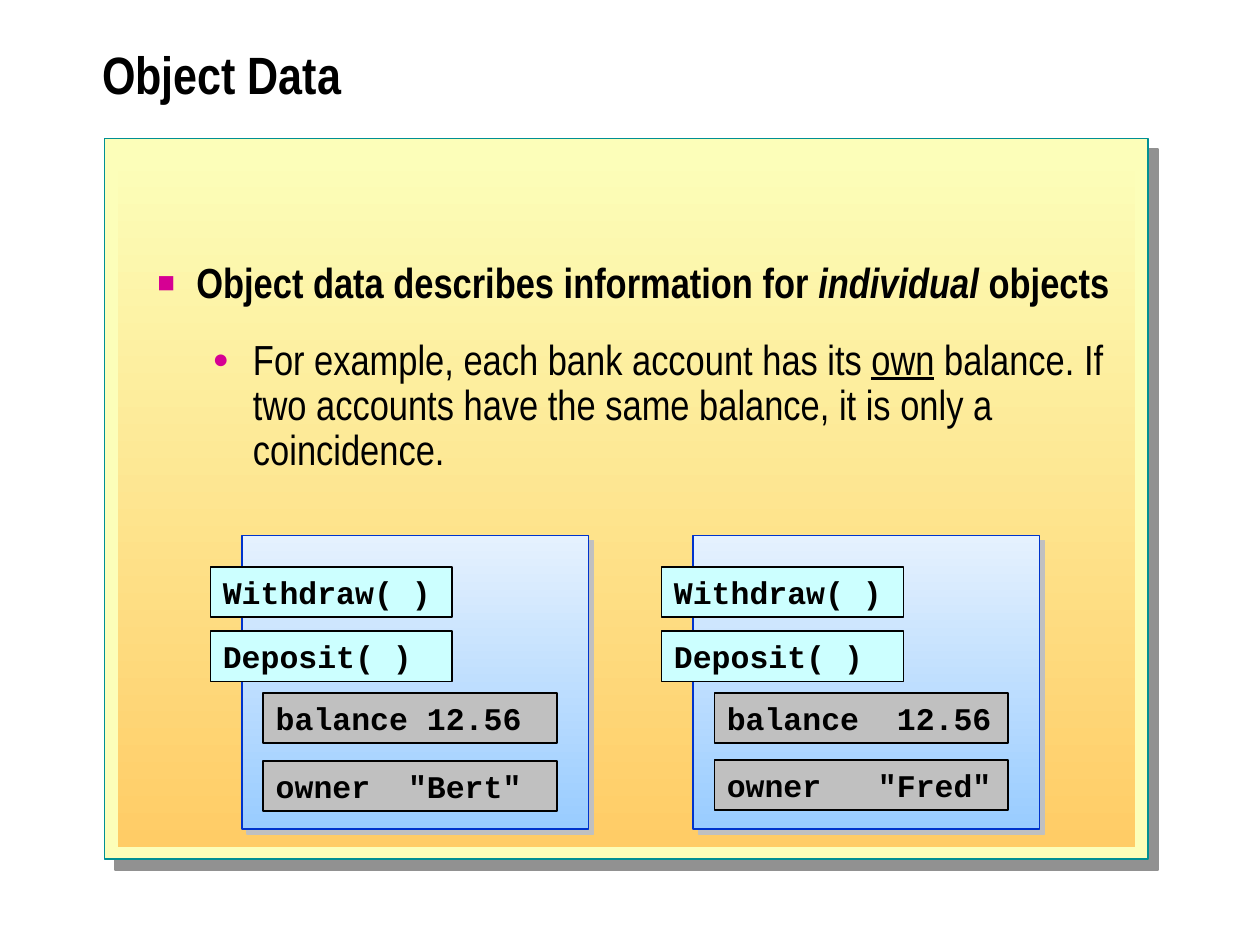
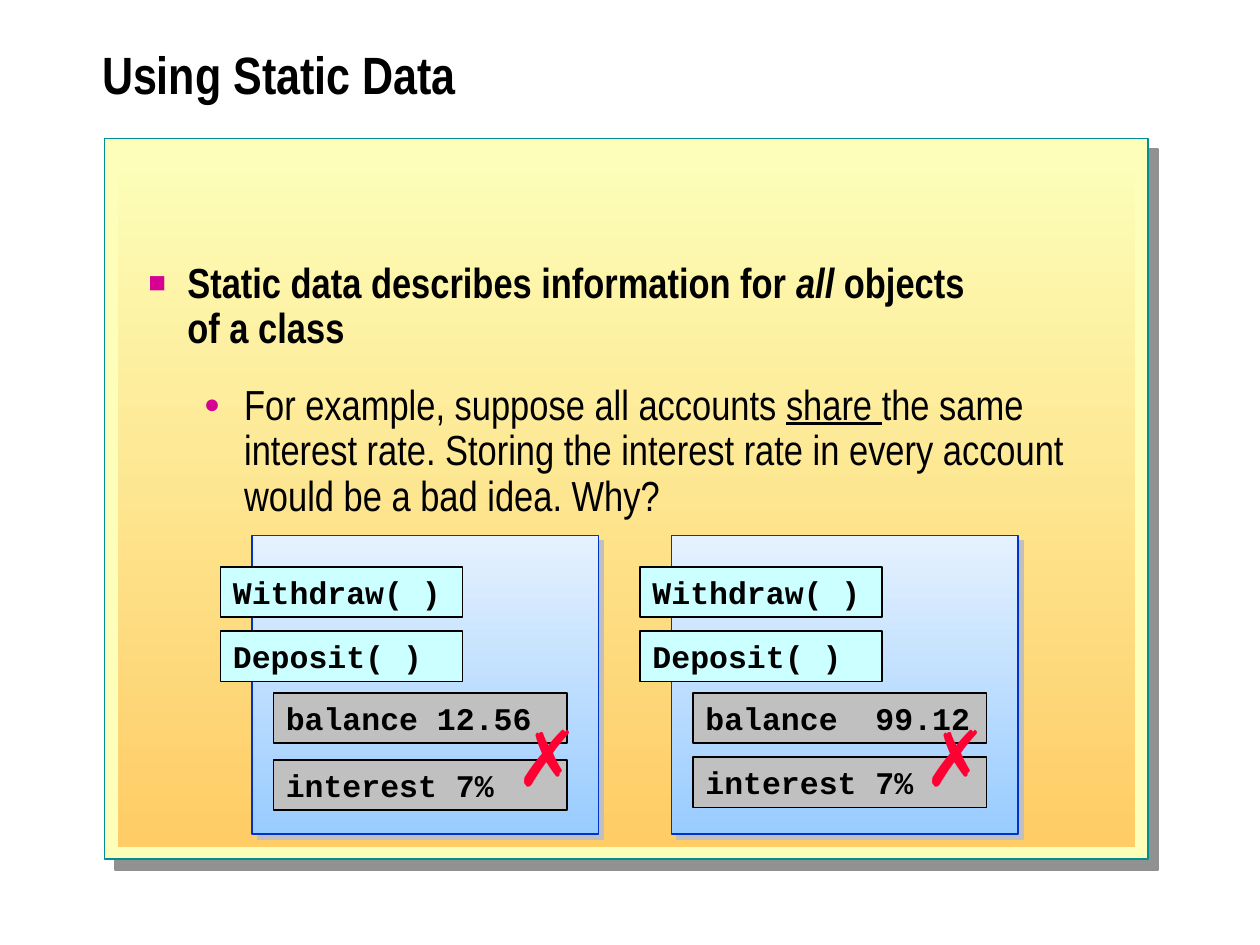
from lxml.etree import SubElement
from pptx import Presentation
from pptx.dml.color import RGBColor
from pptx.enum.shapes import MSO_SHAPE as Preset
from pptx.enum.text import MSO_ANCHOR as Anchor, MSO_AUTO_SIZE as AutoSize, PP_ALIGN as Align
from pptx.oxml.ns import qn
from pptx.util import Inches, Pt

BLACK = RGBColor(0x00, 0x00, 0x00)
TEAL = RGBColor(0x00, 0x90, 0x94)
CREAM = RGBColor(0xFC, 0xFE, 0xB9)
ORANGE = RGBColor(0xFF, 0xCC, 0x66)
SHADOW_GRAY = RGBColor(0x91, 0x91, 0x91)
SILVER = RGBColor(0xC0, 0xC0, 0xC0)
PALE_BLUE = RGBColor(0xE5, 0xF1, 0xFE)
SKY = RGBColor(0x99, 0xCC, 0xFF)
NAVY = RGBColor(0x00, 0x33, 0xCC)
AQUA = RGBColor(0xCC, 0xFF, 0xFF)
MAGENTA = RGBColor(0xD6, 0x00, 0x93)
RED = RGBColor(0xFF, 0x00, 0x33)

TEXT_FONT, CODE_FONT, MARK_FONT = "Arial Narrow", "Courier New", "Arial"

# A paragraph is a list of (text, style) spans; "break" starts a new line first.
PAGES = [
    {
        "title": "Object Data",
        "body_left": 1.15, "body_width": 7.87, "card_height": 2.33,
        "body": [
            [("Object data describes information for ", ""),
             ("individual", "italic"), (" objects", "")],
            [("For example, each bank account has its ", ""), ("own", "underline"),
             (" balance. If two accounts have the same balance, it is only a coincidence.", "")],
        ],
        "accounts": [
            {"left": 1.92, "data": ["balance 12.56", 'owner  "Bert"'], "last_top": 6.04},
            {"left": 5.5, "data": ["balance  12.56", 'owner   "Fred"'], "last_top": 6.03},
        ],
        "mark_lefts": [],
    },
    {
        "title": "Using Static Data",
        "body_left": 1.08, "body_width": 8.1, "card_height": 2.37,
        "body": [
            [("Static data describes information for ", ""), ("all", "italic"),
             (" objects ", ""), ("of a class", "break")],
            [("For example, suppose all accounts ", ""), ("share ", "underline"),
             ("the same interest rate. Storing the interest rate in every account "
              "would be a bad idea. Why?", "")],
        ],
        "accounts": [
            {"left": 2, "data": ["balance 12.56", "interest 7%"], "last_top": 6.03},
            {"left": 5.33, "data": ["balance  99.12", "interest 7%"], "last_top": 6.01},
        ],
        "mark_lefts": [3.99, 7.23],
    },
]
METHODS = ["Withdraw( )", "Deposit( )"]

# Bullet levels: text indent, hanging indent, sign, sign size in percent, bold
LEVELS = [(0.31, 0.31, "■", 70, True), (0.76, 0.32, "●", 65, False)]

CARD_TOP, CARD_WIDTH = 4.25, 2.75
ROW_TOPS = [4.5, 5.01, 5.5]
ROW_HEIGHT = 0.4
METHOD_SHIFT, METHOD_WIDTH = -0.25, 1.92
DATA_SHIFT, DATA_WIDTH = 0.17, 2.33


def inches(*lengths):
    return [Inches(length) for length in lengths]


def style_font(font, name, size, color=BLACK, bold=False):
    font.name, font.size, font.bold = name, Pt(size), bold
    font.color.rgb = color


def add_rect(page, area, colors, line=None, line_width=1.0):
    """Add a rectangle filled with one colour, or top to bottom with two."""
    rect = page.shapes.add_shape(Preset.RECTANGLE, *inches(*area))
    rect.shadow.inherit = False
    if len(colors) == 1:
        rect.fill.solid()
        rect.fill.fore_color.rgb = colors[0]
    else:
        rect.fill.gradient()
        rect.fill.gradient_angle = 270
        for stop, color in zip(rect.fill.gradient_stops, colors):
            stop.color.rgb = color
    if line is None:
        rect.line.fill.background()
    else:
        rect.line.color.rgb = line
        rect.line.width = Pt(line_width)
    return rect


def cast_shadow(shape, color, distance):
    effects = shape._element.spPr.find(qn("a:effectLst"))
    shadow = SubElement(effects, qn("a:outerShdw"), dist=str(Pt(distance)),
                        dir=str(45 * 60000), algn="ctr", rotWithShape="0")
    SubElement(shadow, qn("a:srgbClr"), val=str(color))


def set_bullet(para, indent, hanging, sign, percent):
    props = para._p.get_or_add_pPr()
    props.set("marL", str(Inches(indent)))
    props.set("indent", str(-Inches(hanging)))
    color = SubElement(props, qn("a:buClr"))
    SubElement(color, qn("a:srgbClr"), val=str(MAGENTA))
    SubElement(props, qn("a:buSzPct"), val=str(percent * 1000))
    SubElement(props, qn("a:buFont"), typeface=MARK_FONT)
    SubElement(props, qn("a:buChar"), char=sign)


def add_panel(page):
    frame = add_rect(page, (0.83, 1.1, 8.28, 5.72), [CREAM], TEAL)
    cast_shadow(frame, SHADOW_GRAY, 8.5)
    add_rect(page, (0.94, 1.22, 8.07, 5.5), [CREAM, ORANGE])


def set_title(page, text):
    title = page.shapes.title
    title.left, title.top, title.width, title.height = inches(0.71, 0.17, 8.96, 0.92)
    frame = title.text_frame
    frame.text = text
    frame.vertical_anchor = Anchor.MIDDLE
    para = frame.paragraphs[0]
    para.alignment, para.line_spacing = Align.LEFT, 0.8
    style_font(para.runs[0].font, TEXT_FONT, 30, bold=True)


def add_body(page, left, width, paragraphs):
    frame = page.shapes.add_textbox(*inches(left, 2.03, width, 4.69)).text_frame
    frame.word_wrap = True
    for number, (spans, level) in enumerate(zip(paragraphs, LEVELS)):
        para = frame.add_paragraph() if number else frame.paragraphs[0]
        para.level = number
        para.line_spacing, para.space_before = 0.9, Pt(18)
        *bullet, bold = level
        set_bullet(para, *bullet)
        for text, style in spans:
            if style == "break":
                para.add_line_break()
            span = para.add_run()
            span.text = text
            style_font(span.font, TEXT_FONT, 24, bold=bold)
            span.font.italic = style == "italic"
            span.font.underline = style == "underline"


def add_member(page, text, left, top, width, color):
    box = add_rect(page, (left, top, width, ROW_HEIGHT), [color], BLACK)
    frame = box.text_frame
    frame.text = text
    frame.word_wrap, frame.auto_size = True, AutoSize.SHAPE_TO_FIT_TEXT
    frame.vertical_anchor = Anchor.TOP
    para = frame.paragraphs[0]
    para.alignment = Align.LEFT
    style_font(para.runs[0].font, CODE_FONT, 18, bold=True)


def add_account(page, account, height):
    left = account["left"]
    card = add_rect(page, (left, CARD_TOP, CARD_WIDTH, height), [PALE_BLUE, SKY], NAVY, 0.75)
    cast_shadow(card, SILVER, 4.2)
    tops = ROW_TOPS + [account["last_top"]]
    for text, top in zip(METHODS, tops):
        add_member(page, text, left + METHOD_SHIFT, top, METHOD_WIDTH, AQUA)
    for text, top in zip(account["data"], tops[len(METHODS):]):
        add_member(page, text, left + DATA_SHIFT, top, DATA_WIDTH, SILVER)


def add_cross(page, left):
    frame = page.shapes.add_textbox(*inches(left, 5.58, 0.62, 0.83)).text_frame
    frame.text = "✗"
    frame.word_wrap, frame.auto_size = False, AutoSize.SHAPE_TO_FIT_TEXT
    style_font(frame.paragraphs[0].runs[0].font, MARK_FONT, 44, RED)


def main():
    deck = Presentation()
    deck.slide_width, deck.slide_height = inches(10, 7.5)
    title_only = deck.slide_layouts[5]
    for content in PAGES:
        page = deck.slides.add_slide(title_only)
        add_panel(page)
        set_title(page, content["title"])
        add_body(page, content["body_left"], content["body_width"], content["body"])
        for account in content["accounts"]:
            add_account(page, account, content["card_height"])
        for left in content["mark_lefts"]:
            add_cross(page, left)
    deck.save("out.pptx")


if __name__ == "__main__":
    main()
